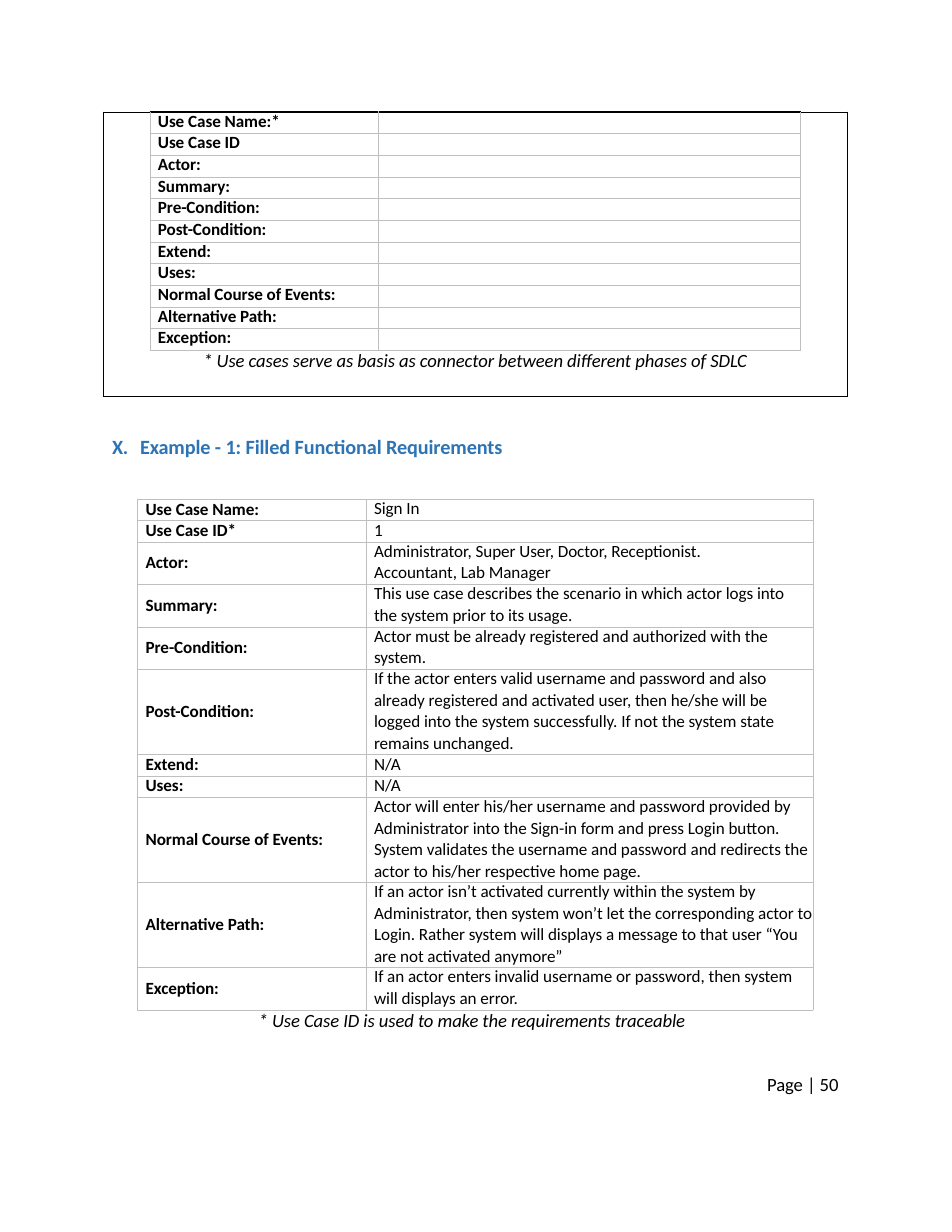
from lxml.etree import SubElement
from pptx import Presentation
from pptx.dml.color import RGBColor as RGB
from pptx.enum.text import MSO_ANCHOR as ANC, PP_ALIGN as AL
from pptx.oxml.ns import qn
from pptx.util import Inches as I, Pt

GREY, BLACK, BLUE = "BFBFBF", "000000", "2D74B5"
NO_GRID = "{2D5ABB26-0587-4C30-8999-92F81FD0307C}"


def write(box, lines, size=11, color=BLACK, bold=False, italic=False, indent=0.07, hang=0, align=AL.LEFT, first=None):
    box.margin_left = box.margin_top = box.margin_right = box.margin_bottom = 0
    tf = getattr(box, "text_frame", box)
    for i, text in enumerate(lines):
        p = tf.paragraphs[0] if i == 0 else tf.add_paragraph()
        p.alignment = align
        p.line_spacing = 1.02 if i else first
        pPr = p._p.get_or_add_pPr()
        pPr.set("marL", str(I(indent)))
        pPr.set("indent", str(I(-hang)))
        if not text:
            SubElement(p._p, qn("a:endParaRPr"), sz=str(size * 100))
            continue
        r = p.add_run()
        r.text = text
        r.font.name, r.font.size = "Calibri", Pt(size)
        r.font.bold, r.font.italic = bold, italic
        r.font.color.rgb = RGB.from_string(color)
        r._r.get_or_add_rPr().set("spc", "-5")


def border(cell, **sides):
    tcPr = cell._tc.get_or_add_tcPr()
    for side in "LRTB":
        if side in sides:
            color, width = sides[side]
            ln = SubElement(tcPr, qn("a:ln" + side), w=str(Pt(width)))
            SubElement(SubElement(ln, qn("a:solidFill")), qn("a:srgbClr"), val=color)
    cell.fill.background()


prs = Presentation()
prs.slide_width, prs.slide_height = I(8.5), I(11)
s = prs.slides.add_slide(prs.slide_layouts[5])

title = s.shapes.title
title.left, title.top, title.width, title.height = I(0.99), I(3.88), I(4.5), I(0.24)
title.text_frame.vertical_anchor = ANC.TOP
title.text_frame.word_wrap = True
write(title.text_frame, ["X.\tExample - 1: Filled Functional Requirements"], 13, BLUE, True, indent=0.26, hang=0.25)

names = ["Use Case Name:*", "Use Case ID", "Actor:", "Summary:", "Pre-Condition:", "Post-Condition:",
         "Extend:", "Uses:", "Normal Course of Events:", "Alternative Path:", "Exception:"]
values = [
    ["Sign In"],
    ["1"],
    ["Administrator, Super User, Doctor, Receptionist.", "Accountant, Lab Manager"],
    ["This use case describes the scenario in which actor logs into", "the system prior to its usage."],
    ["Actor must be already registered and authorized with the", "system."],
    ["If the actor enters valid username and password and also",
     "already registered and activated user, then he/she will be logged into the system "
     "successfully. If not the system state remains unchanged."],
    ["N/A"],
    ["N/A"],
    ["Actor will enter his/her username and password provided by",
     "Administrator into the Sign-in form and press Login button. System validates the username "
     "and password and redirects the actor to his/her respective home page."],
    ["If an actor isn’t activated currently within the system by",
     "Administrator, then system won’t let the corresponding actor to Login. Rather system will "
     "displays a message to that user “You are not activated anymore”"],
    ["If an actor enters invalid username or password, then system", "will displays an error."],
]
n = len(names)
line_counts = [1, 1, 2, 2, 2, 4, 1, 1, 4, 4, 2]
grids = [
    (0.92, 1, [0.42, 2.04, 3.77, 0.42], [2.13 / n] * n + [0.41]),
    (1.23, 4.46, [2.04, 3.99], [0.19 * k for k in line_counts]),
]
tables = []
for x, y, cols, rows in grids:
    frame = s.shapes.add_table(len(rows), len(cols), I(x), I(y), I(sum(cols)), I(sum(rows)))
    tbl = frame.table
    tbl.first_row = tbl.horz_banding = False
    tbl._tbl.tblPr.find(qn("a:tableStyleId")).text = NO_GRID
    for col, w in zip(tbl.columns, cols):
        col.width = I(w)
    for row, h in zip(tbl.rows, rows):
        row.height = I(h)
    tables.append(tbl)
blank, filled = tables

grey, black = (GREY, 0.5), (BLACK, 0.5)
for i, name in enumerate(names):
    top = (BLACK, 1) if i == 0 else grey
    cap = {"T": black} if i == 0 else {}
    for j, text in enumerate(["", name, "", ""]):
        write(blank.cell(i, j), [text], bold=True, first=Pt(12.8))
    border(blank.cell(i, 0), L=black, R=grey, **cap)
    border(blank.cell(i, 3), L=grey, R=black, **cap)
    for j in (1, 2):
        border(blank.cell(i, j), L=grey, R=grey, T=top, B=grey)
for j in range(4):
    note = "* Use cases serve as basis as connector between different phases of SDLC" if j == 0 else ""
    write(blank.cell(n, j), [note], 12, italic=True, indent=0, align=AL.CENTER, first=Pt(14.1))
    border(blank.cell(n, j), L=black, R=black, B=black)
for j in (0, 3):
    blank.cell(0, j).merge(blank.cell(n - 1, j))
blank.cell(n, 0).merge(blank.cell(n, 3))

labels = ["Use Case Name:", "Use Case ID*"] + names[2:]
for i, (label, value) in enumerate(zip(labels, values)):
    for j, lines in enumerate([[label], value]):
        c = filled.cell(i, j)
        write(c, lines, bold=j == 0, first=Pt(12.8))
        c.vertical_anchor = ANC.TOP if j else ANC.MIDDLE
        border(c, L=grey, R=grey, T=grey, B=grey)

for x, y, w, h, text, italic in [
    (2.3, 9.01, 3.89, 0.23, "* Use Case ID is used to make the requirements traceable", True),
    (6.84, 9.61, 0.71, 0.19, "Page | 50", False),
]:
    tf = s.shapes.add_textbox(I(x), I(y), I(w), I(h)).text_frame
    tf.word_wrap = False
    write(tf, [text], 12, italic=italic, indent=0.01, first=None if italic else Pt(12.4))

prs.save("out.pptx")
